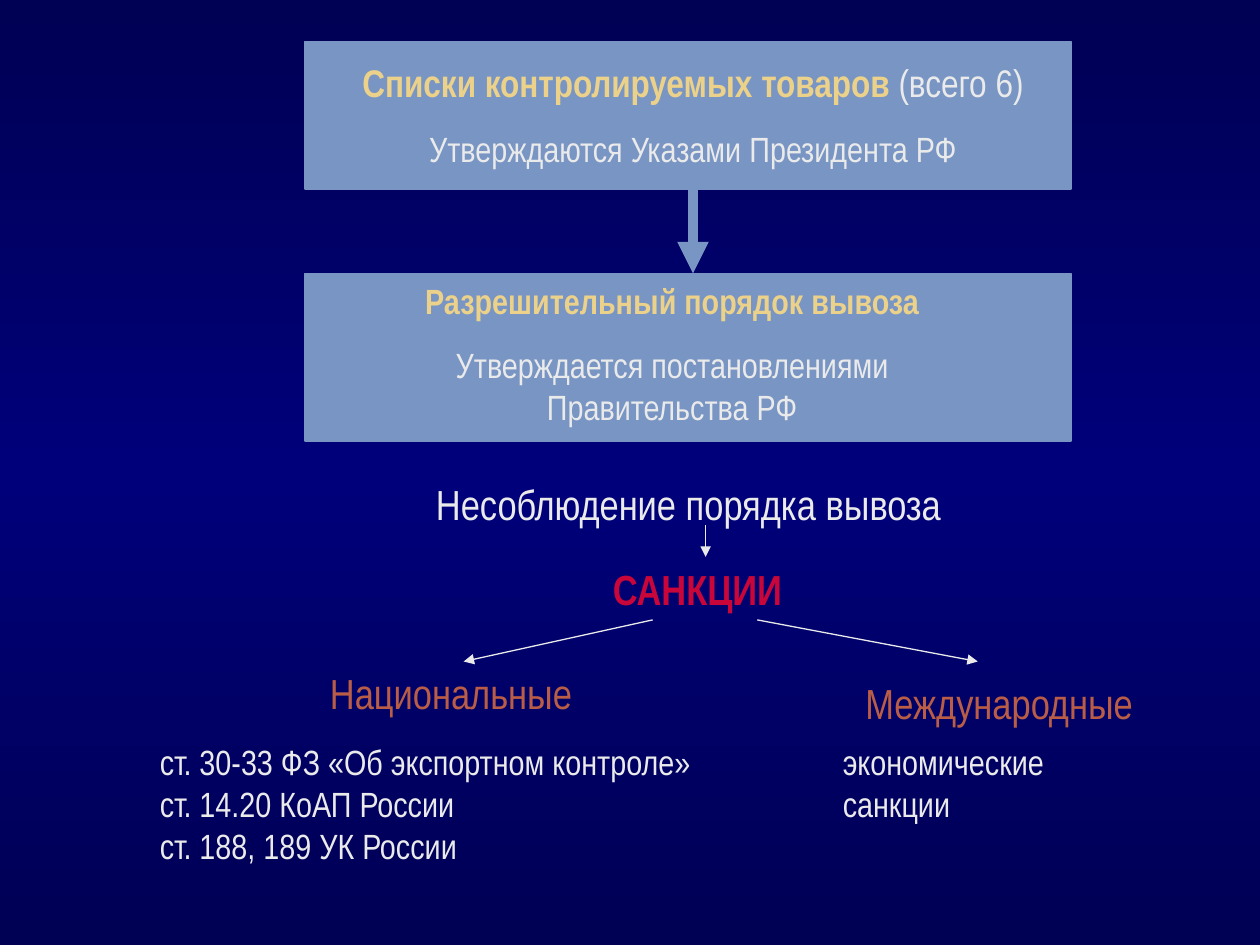
import copy

import pptx
import pptx.dml.color
import pptx.enum.shapes
import pptx.enum.text
import pptx.oxml.ns
import pptx.oxml.xmlchemy
import pptx.util

Inches = pptx.util.Inches
Pt = pptx.util.Pt
qn = pptx.oxml.ns.qn
LEFT = pptx.enum.text.PP_ALIGN.LEFT
CENTER = pptx.enum.text.PP_ALIGN.CENTER

FONT = "Arial Narrow"
STEEL, PALE, GOLD, RED, RUST = "7895C4", "EAEAEA", "EBD189", "C80639", "B95D47"
BACKGROUND_STOPS = [(0, "000054"), (0.5, "00007A"), (1, "000054")]


def rgb(hex_colour):
    return pptx.dml.color.RGBColor.from_string(hex_colour)


def set_background(page):
    fill = page.background.fill
    fill.gradient()
    stop_list = page.element.find(".//" + qn("a:gsLst"))
    stop_list.append(copy.deepcopy(stop_list[-1]))
    for stop, (position, colour) in zip(fill.gradient_stops, BACKGROUND_STOPS):
        stop.position = position
        stop.color.rgb = rgb(colour)
    fill.gradient_angle = 90


def add_panel(page, top, height):
    box = page.shapes.add_shape(
        pptx.enum.shapes.MSO_SHAPE.RECTANGLE,
        Inches(2.42), Inches(top), Inches(6.08), Inches(height))
    box.shadow.inherit = False
    box.fill.solid()
    box.fill.fore_color.rgb = rgb(STEEL)
    box.line.color.rgb = rgb(STEEL)
    box.line.width = Pt(0.75)


def add_text(page, place, paragraphs, align=LEFT, wrap=False):
    """Each paragraph is a list of (text, size, colour, bold) spans."""
    box = page.shapes.add_textbox(*map(Inches, place))
    frame = box.text_frame
    frame.word_wrap = wrap
    for index, spans in enumerate(paragraphs):
        para = frame.paragraphs[0] if index == 0 else frame.add_paragraph()
        para.alignment = align
        para.space_before = Pt(round(spans[0][1] * 0.625, 1))
        for text, size, colour, bold in spans:
            for number, line in enumerate(text.split("\n")):
                if number:
                    para.add_line_break()
                span = para.add_run()
                span.text = line
                span.font.color.rgb = rgb(colour)
                values = {"name": FONT, "size": Pt(size), "bold": bold}
                for name, value in values.items():
                    setattr(span.font, name, value)


def add_arrow(page, start, end, colour=PALE, width=0.75):
    arrow = page.shapes.add_connector(
        pptx.enum.shapes.MSO_CONNECTOR.STRAIGHT, *map(Inches, start + end))
    arrow.line.color.rgb = rgb(colour)
    arrow.line.width = Pt(width)
    line = arrow.line._get_or_add_ln()
    line.append(pptx.oxml.xmlchemy.OxmlElement("a:tailEnd"))
    line[-1].set("type", "triangle")
    arrow.element.spPr.append(pptx.oxml.xmlchemy.OxmlElement("a:effectLst"))


def add_procedure(page):
    add_panel(page, 0.33, 1.17)
    add_text(page, (2.75, 0.42, 5.5, 1.48), [
        [("Списки контролируемых товаров ", 22, GOLD, True),
         ("(всего 6)", 22, PALE, False)],
        [("Утверждаются Указами Президента РФ", 20, PALE, False)],
    ], CENTER, wrap=True)
    add_arrow(page, (5.5, 1.5), (5.5, 2.17), STEEL, 6)
    add_panel(page, 2.17, 1.33)
    add_text(page, (2.75, 2.17, 5.17, 1.28), [
        [("Разрешительный порядок вывоза", 20, GOLD, True)],
        [("Утверждается постановлениями Правительства РФ", 20, PALE, False)],
    ], CENTER, wrap=True)


def add_sanctions(page):
    headings = [
        ((3.35, 3.75, 4.23, 0.5), "Несоблюдение порядка вывоза", PALE, False, CENTER),
        ((4.76, 4.42, 1.55, 0.5), "САНКЦИИ", RED, True, CENTER),
        ((2.52, 5.25, 2.12, 0.5), "Национальные", RUST, False, LEFT),
        ((6.77, 5.33, 2.33, 0.5), "Международные", RUST, False, LEFT),
    ]
    for place, text, colour, bold, align in headings:
        add_text(page, place, [[(text, 24, colour, bold)]], align)

    for start, end in [((5.6, 4.17), (5.6, 4.42)),
                       ((5.18, 4.92), (3.68, 5.25)),
                       ((6.01, 4.92), (7.76, 5.25))]:
        add_arrow(page, start, end)

    national = ("ст. 30-33 ФЗ «Об экспортном контроле»\n"
                "ст. 14.20 КоАП России\n"
                "ст. 188, 189 УК России")
    add_text(page, (1.17, 5.83, 4.45, 1.1), [[(national, 20, PALE, False)]])
    add_text(page, (6.59, 5.83, 2.71, 0.77),
             [[("экономические\nсанкции", 20, PALE, False)]], wrap=True)


def main():
    deck = pptx.Presentation()
    deck.slide_width, deck.slide_height = Inches(10), Inches(7.5)
    page = deck.slides.add_slide(deck.slide_layouts[6])
    set_background(page)
    add_procedure(page)
    add_sanctions(page)
    deck.save("out.pptx")


if __name__ == "__main__":
    main()
